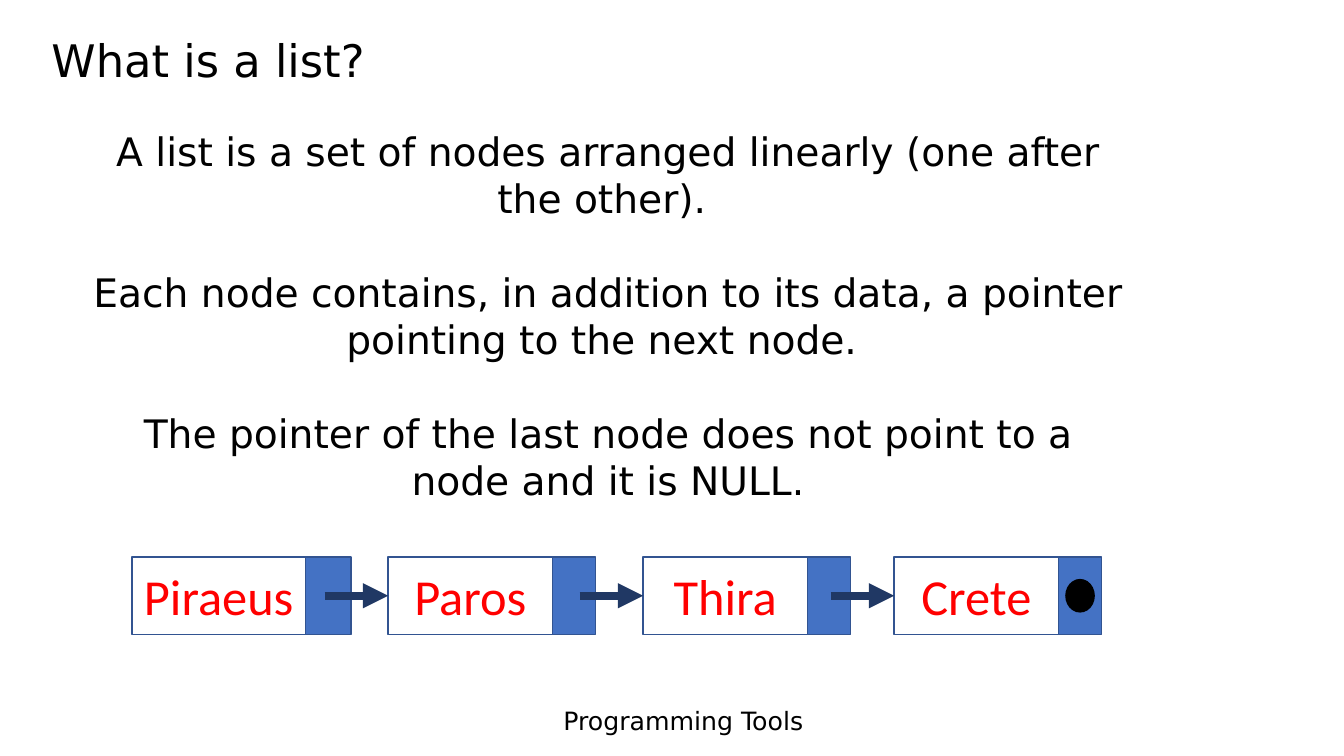
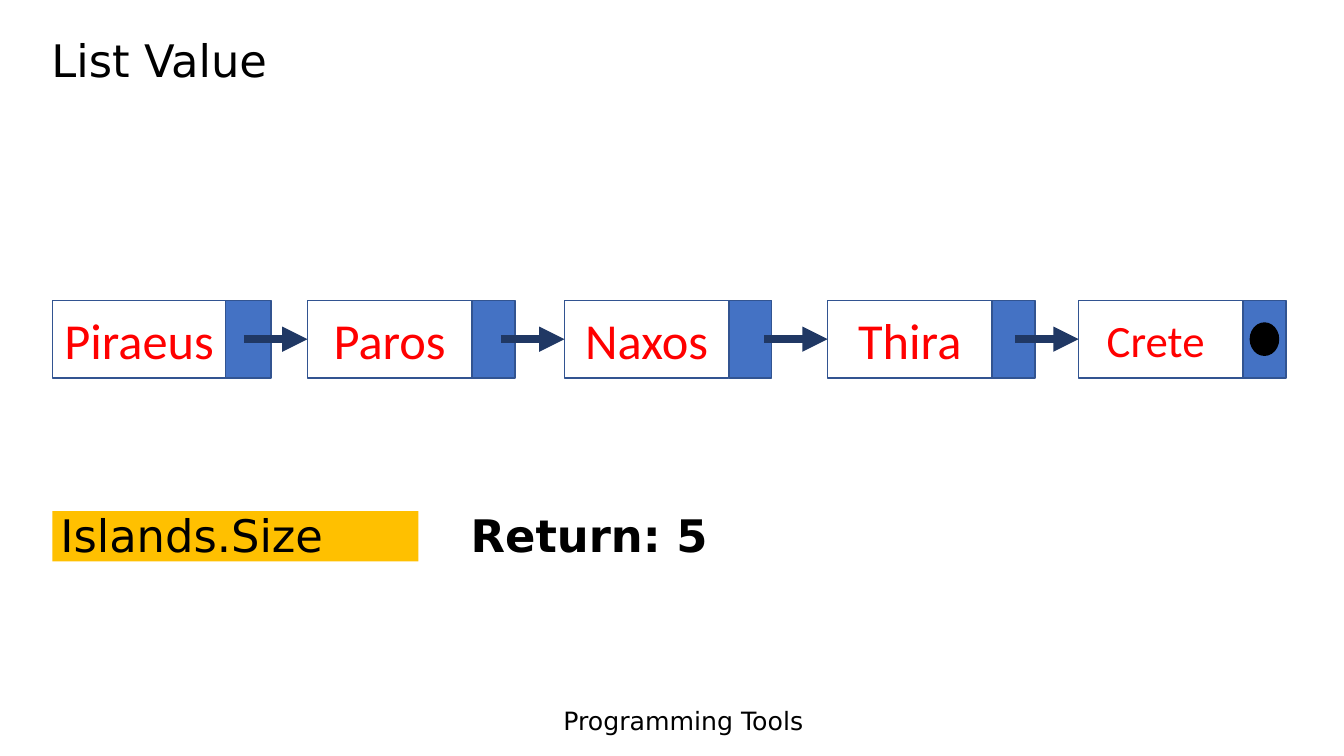
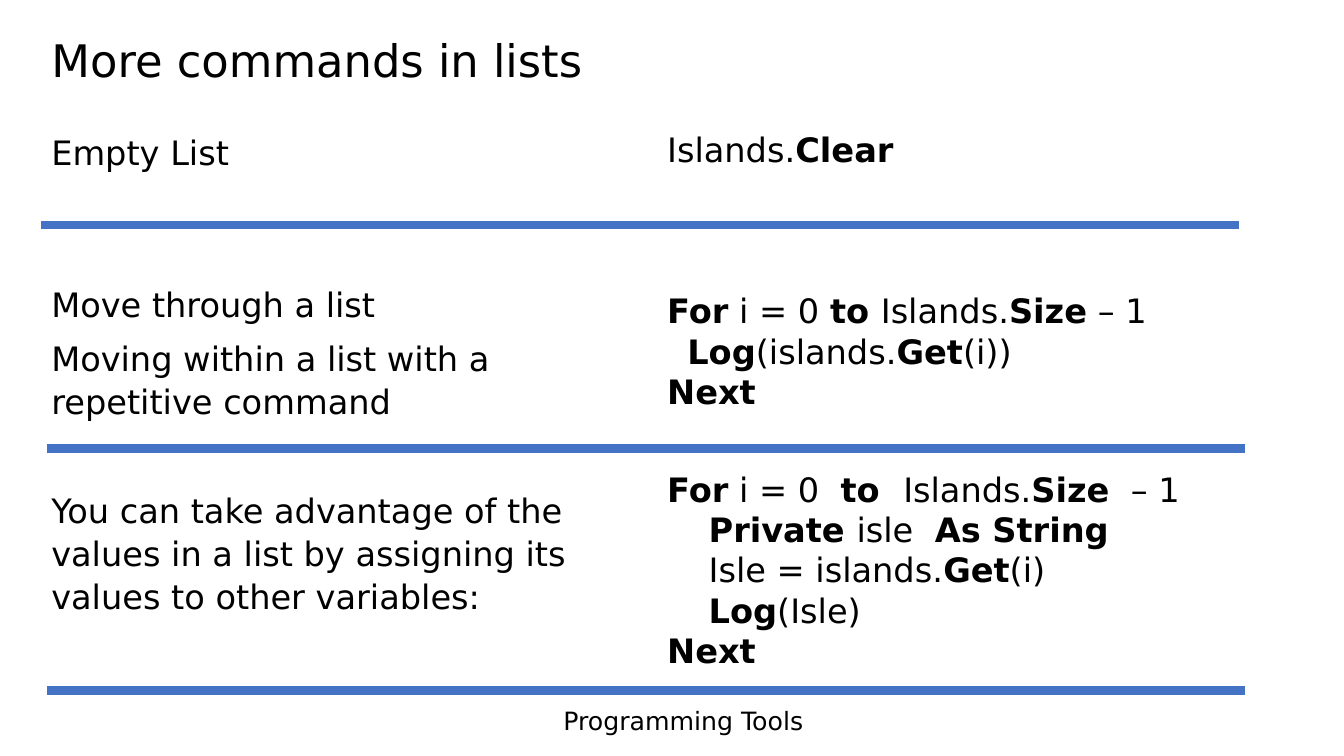
from itertools import cycle

from lxml.etree import SubElement
from pptx import Presentation
from pptx.dml.color import RGBColor
from pptx.enum.shapes import MSO_CONNECTOR as Connector, MSO_SHAPE as Shape
from pptx.enum.text import MSO_ANCHOR as Anchor, MSO_AUTO_SIZE as AutoSize, PP_ALIGN as Align
from pptx.oxml.ns import qn
from pptx.util import Inches, Pt

BLACK = RGBColor(0x00, 0x00, 0x00)
RED = RGBColor(0xFF, 0x00, 0x00)
BLUE = RGBColor(0x44, 0x72, 0xC4)
EDGE = RGBColor(0x32, 0x54, 0x91)
NAVY = RGBColor(0x20, 0x38, 0x64)
AMBER = RGBColor(0xFF, 0xC0, 0x00)

TEXT_FONT = "DejaVu Sans"
NODE_FONT = "Calibri"
LINE_PITCH = 1.2
CODE_TABS = (0.2, 0.59, 0.98, 1.38)

# The grid has 100 columns and 100 rows.
TITLE = (3.08, 2, 90.08, 12.67)
FOOTER = (41.18, 92.67, 21.75, 5.33)
CODE_LEFT, CODE_WIDTH = 48.9, 50.03
RULE_WIDTH = 89.1
NODE_HEIGHT = 10.27
FIRST_NODE = (12.9, 3.38)
NEXT_NODE = (12.23, 3.2)
ARROW_LENGTH = 4.73
DOT = (2.1, 4.27)


class ListLesson:
    def __init__(self):
        self.deck = Presentation()
        self.deck.slide_width = Inches(13.33)
        self.deck.slide_height = Inches(7.5)
        self.layout = self.deck.slide_layouts[5]
        self.page = None

    def across(self, columns):
        return round(self.deck.slide_width * columns / 100)

    def down(self, rows):
        return round(self.deck.slide_height * rows / 100)

    def area(self, left, top, width, height):
        return self.across(left), self.down(top), self.across(width), self.down(height)

    def style(self, span, size, color=BLACK, font=TEXT_FONT, bold=False):
        span.font.name = font
        span.font.size = Pt(size)
        span.font.bold = bold
        span.font.color.rgb = color

    def new_page(self, title):
        first = self.page is None
        self.page = self.deck.slides.add_slide(self.layout)
        if first:
            self.share_footer()
        box = self.page.shapes.title
        box.left, box.top, box.width, box.height = self.area(*TITLE)
        frame = box.text_frame
        frame.text = title
        frame.auto_size = AutoSize.NONE
        frame.vertical_anchor = Anchor.MIDDLE
        para = frame.paragraphs[0]
        para.alignment = Align.LEFT
        para.line_spacing = 0.9
        self.style(para.runs[0], 32)

    def share_footer(self):
        """Put the footer text on the layout, so that every page shows it."""
        box = self.text(FOOTER, ["Programming Tools"], 18)
        box.element.nvSpPr.cNvPr.set("id", "20")
        self.layout.shapes.element.append(box.element)

    def text(self, place, lines, size, align=Align.LEFT, gaps=(0,), stretch=1.0,
             anchor=Anchor.TOP):
        """Add one paragraph per line; ** switches bold, gaps are points before each next line."""
        box = self.page.shapes.add_textbox(*self.area(*place))
        frame = box.text_frame
        frame.word_wrap = True
        frame.vertical_anchor = anchor
        spaces = cycle(gaps)
        for index, line in enumerate(lines):
            para = frame.add_paragraph() if index else frame.paragraphs[0]
            para.alignment = align
            para.line_spacing = Pt(round(size * LINE_PITCH * stretch, 1))
            if index:
                para.space_before = Pt(next(spaces))
            if "\t" in line:
                self.add_tabs(para)
            for part, words in enumerate(line.split("**")):
                if words:
                    span = para.add_run()
                    span.text = words
                    self.style(span, size, bold=part % 2 == 1)
        return box

    def add_tabs(self, para):
        stops = SubElement(para._p.get_or_add_pPr(), qn("a:tabLst"))
        for inches in CODE_TABS:
            SubElement(stops, qn("a:tab"), pos=str(Inches(inches)), algn="l")

    def code(self, top, height, lines):
        self.text((CODE_LEFT, top, CODE_WIDTH, height), lines, 24)

    def shape(self, place, fill=None, edge=None, kind=Shape.RECTANGLE):
        box = self.page.shapes.add_shape(kind, *self.area(*place))
        box.shadow.inherit = False
        if fill is None:
            box.fill.background()
        else:
            box.fill.solid()
            box.fill.fore_color.rgb = fill
        if edge is None:
            box.line.fill.background()
        else:
            box.line.color.rgb = edge
            box.line.width = Pt(1)
        return box

    def line(self, left, right, row, color):
        link = self.page.shapes.add_connector(
            Connector.STRAIGHT, self.across(left), self.down(row),
            self.across(right), self.down(row))
        link.line.color.rgb = color
        link.line.width = Pt(6)
        SubElement(link._element.spPr, qn("a:effectLst"))
        return link

    def rule(self, left, row):
        self.line(left, left + RULE_WIDTH, row, BLUE)

    def node(self, left, top, name, widths, size):
        """Draw a data cell with its pointer cell and return the data cell."""
        data_width, pointer_width = widths
        data = self.shape((left, top, data_width, NODE_HEIGHT), edge=EDGE)
        frame = data.text_frame
        frame.text = name
        frame.word_wrap = False
        frame.vertical_anchor = Anchor.MIDDLE
        para = frame.paragraphs[0]
        para.alignment = Align.CENTER
        self.style(para.runs[0], size, RED, NODE_FONT)
        self.shape((left + data_width, top, pointer_width, NODE_HEIGHT), BLUE, EDGE)
        return data

    def chain(self, top, nodes, last_size=36):
        """Draw linked nodes, given as (left, name), and end with the NULL dot."""
        middle = top + NODE_HEIGHT / 2
        cells = []
        for index, (left, name) in enumerate(nodes):
            widths = NEXT_NODE if index else FIRST_NODE
            size = last_size if index == len(nodes) - 1 else 36
            cells.append((left, self.node(left, top, name, widths, size)))
        for left, data in cells[1:]:
            arrow = self.line(left - ARROW_LENGTH, left, middle, NAVY)
            arrow.end_connect(data, 1)
            SubElement(arrow.line._get_or_add_ln(), qn("a:tailEnd"), type="triangle")
        data_width, pointer_width = NEXT_NODE
        center = nodes[-1][0] + data_width + pointer_width / 2
        width, height = DOT
        self.shape((center - width / 2, middle - height / 2, width, height),
                   BLACK, BLACK, Shape.OVAL)


def main():
    lesson = ListLesson()

    lesson.new_page("What is a list?")
    lesson.text((6.08, 16.13, 78.3, 51.6), [
        "A list is a set of nodes arranged linearly (one after the other). ",
        "Each node contains, in addition to its data, a pointer pointing to the next node. ",
        "The pointer of the last node does not point to a node and it is NULL.",
    ], 28, Align.CENTER, gaps=(33.6,))
    lesson.chain(73.67, [(9.83, "Piraeus"), (28.88, "Paros"), (47.85, "Thira"),
                         (66.53, "Crete")])

    lesson.new_page("List Value")
    lesson.shape((3.9, 67.6, 27.23, 6.67), AMBER)
    lesson.chain(39.73, [(3.9, "Piraeus"), (22.88, "Paros"), (42, "Naxos"),
                         (61.58, "Thira"), (80.25, "Crete ")], last_size=32)
    for left, words in ((3.75, "Islands.Size"), (34.28, "**Return: 5**")):
        lesson.text((left, 66.4, 25.05, 8.53), [words], 32, anchor=Anchor.MIDDLE)

    lesson.new_page("More commands in lists")
    lesson.text((3.08, 16.4, 44.55, 66), [
        "Empty List",
        "Move through a list",
        "Moving within a list with a repetitive command",
        "You can take advantage of the values in a list by assigning its values "
        "to other variables:",
    ], 24, gaps=(77.6, 8, 46.8), stretch=1.07)
    lesson.code(16.4, 6.67, ["Islands.**Clear**"])
    lesson.code(37.73, 17.47, [
        "**For** i = 0 **to **Islands.**Size** – 1",
        "\t**Log**(islands.**Get**(i))",
        "**Next**",
    ])
    lesson.code(61.33, 28.27, [
        "**For** i = 0  **to  **Islands.**Size**  – 1",
        "\t  **Private **isle  **As String**",
        "\t  Isle = islands.**Get**(i)",
        "\t  **Log**(Isle)",
        "**Next**",
    ])
    for left, row in ((3.08, 29.73), (3.53, 59.33), (3.53, 91.33)):
        lesson.rule(left, row)

    lesson.deck.save("out.pptx")


if __name__ == "__main__":
    main()
